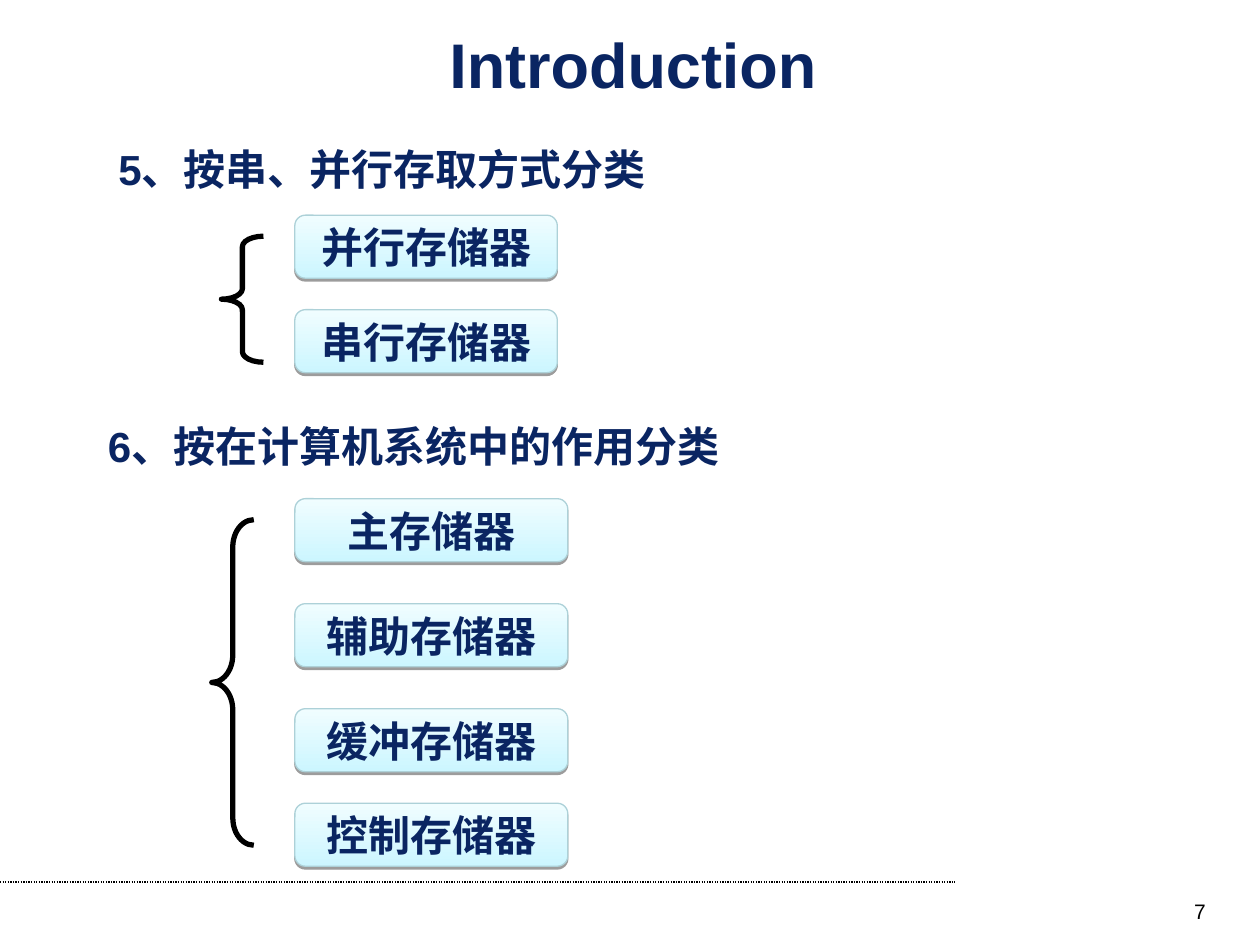
"""Build the slide on two ways of classifying memory."""
from lxml.etree import SubElement
from pptx import Presentation
from pptx.dml.color import RGBColor
from pptx.enum.dml import MSO_LINE
from pptx.enum.shapes import MSO_CONNECTOR, MSO_SHAPE
from pptx.enum.text import MSO_ANCHOR, PP_ALIGN
from pptx.oxml.ns import qn
from pptx.util import Pt

COLORS = {"navy": "0A2562", "black": "000000", "edge": "ADD1D8",
          "low": "CCF6FF", "high": "F0FDFF"}


def color(name):
    return RGBColor.from_string(COLORS[name])


class Page:
    """Hold the text style and the current slide."""

    face = "Arial"
    size = 24

    def __init__(self, deck):
        self.slide = deck.slides.add_slide(deck.slide_layouts[5])
        self.shapes = self.slide.shapes

    def letter(self, frame, text, size=size, tint="navy", bold=True,
               align=PP_ALIGN.LEFT, anchor=MSO_ANCHOR.TOP, wrap=True):
        frame.text = text
        frame.word_wrap = wrap
        frame.vertical_anchor = anchor
        line = frame.paragraphs[0]
        line.alignment = align
        font = line.runs[0].font
        font.name, font.size, font.bold = self.face, Pt(size), bold
        font.color.rgb = color(tint)

    def title(self, text, left, top, width, height):
        box = self.shapes.title
        box.left, box.top = Pt(left), Pt(top)
        box.width, box.height = Pt(width), Pt(height)
        frame = box.text_frame
        frame.margin_left = frame.margin_right = 0
        frame.margin_top = frame.margin_bottom = 0
        self.letter(frame, text, 36, align=PP_ALIGN.CENTER,
                    anchor=MSO_ANCHOR.MIDDLE)

    def label(self, text, left, top, width, height, **style):
        box = self.shapes.add_textbox(Pt(left), Pt(top), Pt(width), Pt(height))
        self.letter(box.text_frame, text, **style)

    def rule(self, left, right, top):
        line = self.shapes.add_connector(MSO_CONNECTOR.STRAIGHT, Pt(left),
                                         Pt(top), Pt(right), Pt(top))
        line.line.color.rgb = color("black")
        line.line.width = Pt(0.75)
        line.line.dash_style = MSO_LINE.ROUND_DOT
        SubElement(line._element.spPr, qn("a:effectLst"))

    def brace(self, left, top, height, curve):
        shape = self.shapes.add_shape(MSO_SHAPE.LEFT_BRACE, Pt(left), Pt(top),
                                      Pt(24), Pt(height))
        shape.adjustments[0] = curve
        shape.shadow.inherit = False
        shape.fill.background()
        shape.line.color.rgb = color("black")
        shape.line.width = Pt(3)

    def button(self, text, top, width):
        shape = self.shapes.add_shape(MSO_SHAPE.ROUNDED_RECTANGLE, Pt(168.5),
                                      Pt(top), Pt(width), Pt(36))
        shape.fill.gradient()
        shape.fill.gradient_angle = 90
        for stop, name, place in zip(shape.fill.gradient_stops,
                                     ("low", "high"), (0, 1)):
            stop.color.rgb = color(name)
            stop.position = place
        shape.line.color.rgb = color("edge")
        shape.line.width = Pt(0.75)
        self.shade(shape)
        self.letter(shape.text_frame, text, align=PP_ALIGN.CENTER,
                    anchor=MSO_ANCHOR.MIDDLE, wrap=False)

    def shade(self, shape):
        shape.shadow.inherit = False
        effect = shape._element.spPr.find(qn("a:effectLst"))
        shadow = SubElement(effect, qn("a:outerShdw"), blurRad="0",
                            dist=str(Pt(1.6)), dir="5400000", rotWithShape="0")
        tint = SubElement(shadow, qn("a:srgbClr"), val=COLORS["black"])
        SubElement(tint, qn("a:alpha"), val="38000")


def main():
    deck = Presentation()
    deck.slide_width, deck.slide_height = Pt(720), Pt(540)
    page = Page(deck)
    page.rule(0, 546, 504)
    page.title("Introduction", 36, 18, 651.5, 36)
    page.label("7", 528, 510, 168, 19.5, size=12, tint="black", bold=False,
               align=PP_ALIGN.RIGHT)

    page.label("5、按串、并行存取方式分类", 60.5, 78.5, 372, 36)
    page.brace(126.5, 135, 72, 0.25)
    for text, top in (("并行存储器", 123), ("串行存储器", 177)):
        page.button(text, top, 150)

    page.label("6、按在计算机系统中的作用分类", 54.5, 237, 384, 36)
    page.brace(121, 297, 186, 0.65)
    for text, top in (("主存储器", 285), ("辅助存储器", 345),
                      ("缓冲存储器", 405), ("控制存储器", 459)):
        page.button(text, top, 156)
    deck.save("out.pptx")


if __name__ == "__main__":
    main()
